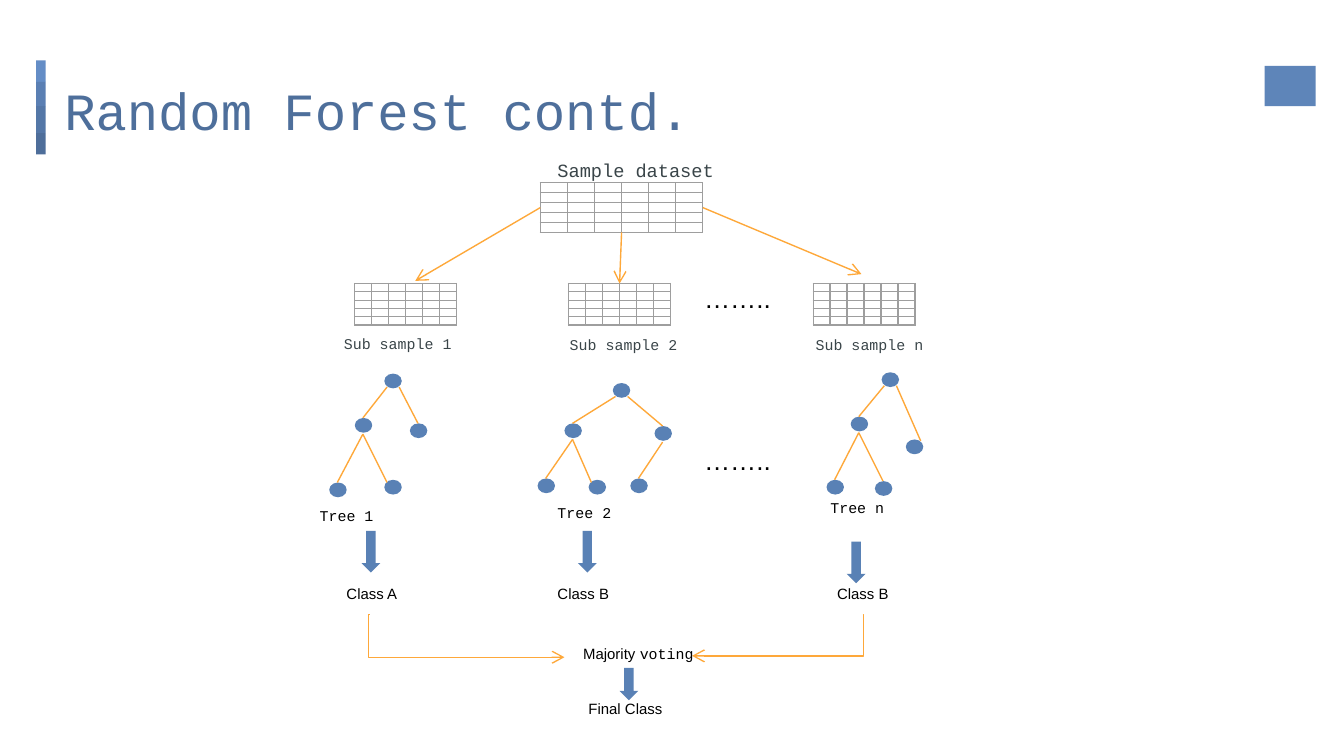
from lxml import etree
from pptx import Presentation
from pptx.dml.color import RGBColor
from pptx.enum.shapes import MSO_CONNECTOR, MSO_SHAPE
from pptx.oxml.ns import qn
from pptx.util import Emu, Inches, Pt

RECT, OVAL, DOWN = MSO_SHAPE.RECTANGLE, MSO_SHAPE.OVAL, MSO_SHAPE.DOWN_ARROW
STRAIGHT, ELBOW = MSO_CONNECTOR.STRAIGHT, MSO_CONNECTOR.ELBOW
PX = 9144  # 100 px to the inch
BLUE, ORANGE, GRID, SLATE = "5981B5", "FEA83A", "9E9E9E", "3A4549"
MONO, SANS = "Courier New", "Arial"

prs = Presentation()
prs.slide_width, prs.slide_height = Inches(10), Inches(10) * 9 // 16
shapes = prs.slides.add_slide(prs.slide_layouts[6]).shapes


def px(*lengths):
    return [Emu(n * PX) for n in lengths]


def color(hex_string):
    return RGBColor.from_string(hex_string)


def add_block(kind, box, fill=BLUE):
    block = shapes.add_shape(kind, *px(*box))
    block.shadow.inherit = False
    block.fill.solid()
    block.fill.fore_color.rgb = color(fill)
    block.line.fill.background()


def add_text(box, *runs, size=8, font=MONO, ink="000000", top=5):
    """Each run is a string, or a (string, font) pair."""
    frame = shapes.add_textbox(*px(*box)).text_frame
    frame.word_wrap = True
    frame.margin_top = Emu(top * PX)
    for part in runs:
        words, face = (part, font) if isinstance(part, str) else part
        run = frame.paragraphs[0].add_run()
        run.text = words
        run.font.name, run.font.size = face, Pt(size)
        run.font.color.rgb = color(ink)


def add_line(ends, kind=STRAIGHT, arrow=False, bend=None):
    line = shapes.add_connector(kind, *px(*ends))
    line.line.color.rgb = color(ORANGE)
    line.line.width = Pt(0.75)
    props = line._element.spPr
    if arrow:
        etree.SubElement(props.find(qn("a:ln")), qn("a:tailEnd"), type="arrow")
    if bend is not None:
        guides = props.find(qn("a:prstGeom")).find(qn("a:avLst"))
        etree.SubElement(guides, qn("a:gd"), name="adj1", fmla=f"val {bend}")
    etree.SubElement(props, qn("a:effectLst"))
    return line


def add_grid(box):
    """Empty 5 by 6 table with thin grey borders."""
    frame = shapes.add_table(5, 6, *px(*box))
    table = frame.table
    table.first_row = table.horz_banding = False
    for cell in table.iter_cells():
        cell.margin_left = cell.margin_right = cell.margin_top = cell.margin_bottom = 0
        cell.text_frame.paragraphs[0]._p.get_or_add_endParaRPr().set("sz", "100")
        tc_props = cell._tc.get_or_add_tcPr()
        for side in ("lnL", "lnR", "lnT", "lnB"):
            border = etree.SubElement(tc_props, qn(f"a:{side}"), w=str(Pt(0.75)))
            fill = etree.SubElement(border, qn("a:solidFill"))
            etree.SubElement(fill, qn("a:srgbClr"), val=GRID)
        cell.fill.background()
    return frame


# Title with its banded bar, and a plain corner mark
bar_edges = [45, 61, 79, 99, 115]
bar_colors = ["648DC6", "5A7FB3", "5477A7", "4E6E9A"]
for top, bottom, shade in zip(bar_edges, bar_edges[1:], bar_colors):
    add_block(RECT, (27, top, 7, bottom - top), shade)
add_text((38, 48, 925, 63), "Random Forest contd.", size=28, ink="4E6F9B", top=10)
add_block(RECT, (941, 49, 38, 30), "5E85B9")

# Dataset and its sub samples
add_text((405, 113, 223, 27), "Sample dataset", size=10, ink=SLATE)
dataset = add_grid((402, 136, 121, 37))
sub_samples = [add_grid((left, 211, 76, 31)) for left in (264, 423, 605)]
for left, top, suffix in [(246, 244, "1"), (414, 245, "2"), (597, 245, "n")]:
    add_text((left, top, 109, 24), f"Sub sample {suffix}", ink=SLATE)
for side, ends in [(1, (402, 154, 309, 209)), (2, (463, 173, 461, 211)),
                   (3, (523, 154, 641, 204))]:
    split = add_line(ends, arrow=True)
    split.begin_connect(dataset, side)
    if side == 2:
        split.end_connect(sub_samples[1], 0)
for top in (205, 326):
    add_text((514, top, 133, 34), "……..", size=14, font=SANS)

# Trees: node corners, then edges as parent, child, and the node point at each end
NODE_POINTS = {"top": (6, 0), "bottom": (6, 12), "low left": (2, 10),
               "low right": (11, 10), "up left": (2, 2), "up right": (11, 1)}
trees = [
    ([(286, 278), (264, 311), (305, 315), (245, 359), (286, 357)],
     [(0, 1, "low left", "top"), (0, 2, "low right", "top"),
      (1, 3, "bottom", "top"), (1, 4, "bottom", "up left")]),
    ([(456, 285), (420, 315), (487, 317), (400, 356), (438, 357), (469, 356)],
     [(0, 1, "low left", "top"), (0, 2, "low right", "top"),
      (1, 3, "bottom", "top"), (1, 4, "bottom", "up left"),
      (2, 5, "bottom", "top")]),
    ([(656, 277), (633, 310), (674, 327), (615, 357), (651, 358)],
     [(0, 1, "low left", "top"), (0, 2, "low right", "up right"),
      (1, 3, "bottom", "top"), (1, 4, "bottom", "top")]),
]
for nodes, edges in trees:
    for left, top in nodes:
        add_block(OVAL, (left, top, 13, 11))
    for parent, child, start, end in edges:
        ends = []
        for node, point in [(parent, start), (child, end)]:
            ends += [n + shift for n, shift in zip(nodes[node], NODE_POINTS[point])]
        add_line(ends)

add_text((228, 372, 123, 24), "Tree 1")
add_text((405, 370, 86, 24), "Tree 2")
add_text((608, 366, 123, 24), "Tree n")

# Votes of the trees and the final class
for left, top in [(269, 395), (430, 395), (630, 403)]:
    add_block(DOWN, (left, top, 14, 31))
for left, width, vote in [(248, 60, "A"), (405, 60, "B"), (613, 80, "B")]:
    add_text((left, 430, width, 24), f"Class {vote}", font=SANS)
add_line((275, 457, 420, 489), ELBOW, arrow=True, bend=-600)
add_line((642, 457, 515, 488), ELBOW, arrow=True, bend=-500)
add_text((424, 475, 157, 24), ("Majority ", SANS), "voting")
add_block(DOWN, (461, 497, 14, 24))
add_text((428, 516, 123, 24), "Final Class", font=SANS)

prs.save("out.pptx")
